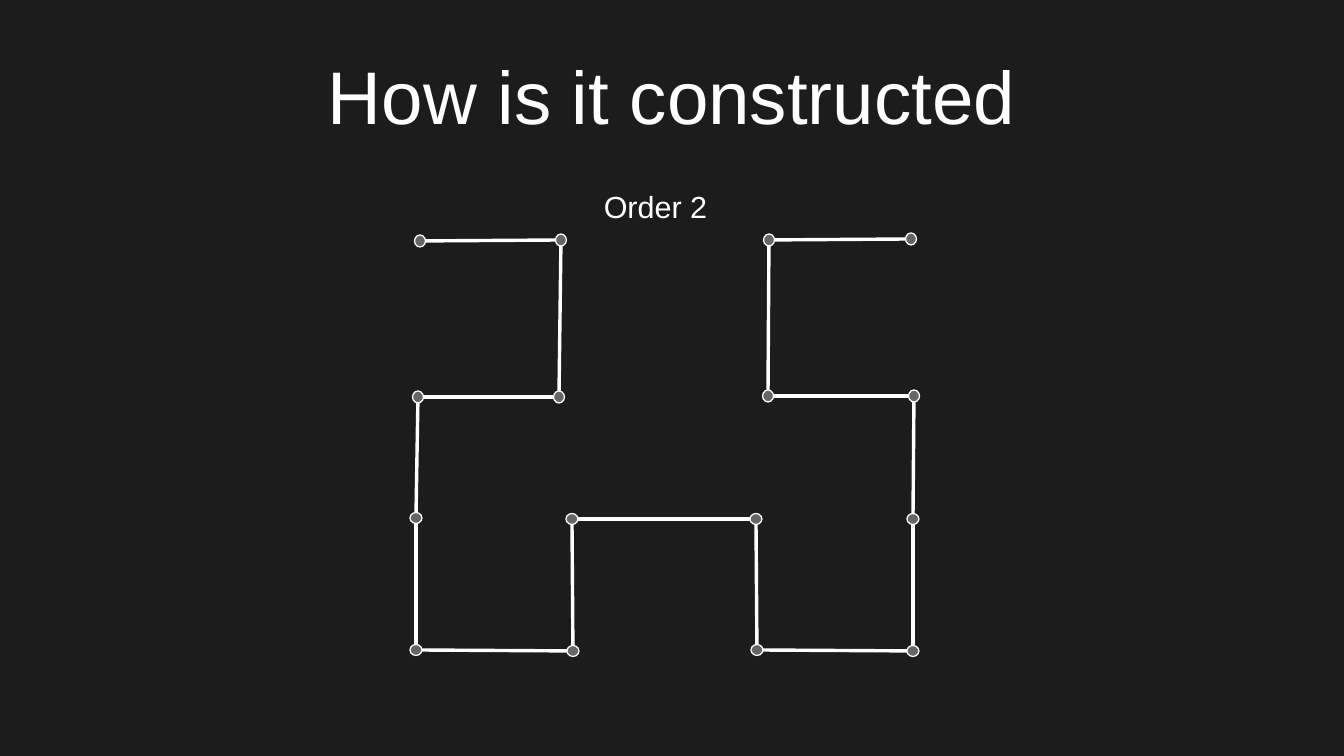
from itertools import pairwise
from math import hypot

from pptx import Presentation
from pptx.dml.color import RGBColor
from pptx.enum.shapes import MSO_CONNECTOR, MSO_SHAPE
from pptx.enum.text import MSO_ANCHOR, MSO_AUTO_SIZE, PP_ALIGN
from pptx.oxml.ns import qn
from pptx.util import Emu, Pt
from lxml.etree import SubElement

BACKGROUND = RGBColor(0x1C, 0x1C, 0x1C)
WHITE = RGBColor(0xFF, 0xFF, 0xFF)
GREY = RGBColor(0x66, 0x66, 0x66)

UPPER_LEFT = [(420, 241), (561, 240), (559, 397), (418, 397)]
LOWER = [(416, 518), (416, 650), (573, 651), (572, 519),
         (756, 519), (757, 650), (913, 651), (913, 519)]
UPPER_RIGHT = [(914, 396), (768, 396), (769, 240), (911, 239)]


def px(length):
    return Emu(round(length * 914400 / 122))


class CurveSlide:
    font = "Arial"
    node_width, node_height = 12, 11

    def __init__(self, deck):
        self.slide = deck.slides.add_slide(deck.slide_layouts[5])
        self.slide.background.fill.solid()
        self.slide.background.fill.fore_color.rgb = BACKGROUND

    def set_text(self, shape, text, size, margins):
        frame = shape.text_frame
        frame.word_wrap = True
        frame.auto_size = MSO_AUTO_SIZE.NONE
        frame.vertical_anchor = MSO_ANCHOR.MIDDLE
        frame.margin_left = frame.margin_right = px(margins[0])
        frame.margin_top = frame.margin_bottom = px(margins[1])
        paragraph = frame.paragraphs[0]
        paragraph.alignment = PP_ALIGN.CENTER
        run = paragraph.add_run()
        run.text = text
        run.font.name = self.font
        run.font.size = Pt(size)
        run.font.color.rgb = WHITE

    def title(self, text, left, top, width, height):
        heading = self.slide.shapes.title
        heading.left, heading.top = px(left), px(top)
        heading.width, heading.height = px(width), px(height)
        self.set_text(heading, text, 44, (0, 0))

    def label(self, text, left, top, width, height):
        box = self.slide.shapes.add_textbox(px(left), px(top), px(width), px(height))
        self.set_text(box, text, 18, (12, 6))

    def outline(self, shape):
        shape.line.color.rgb = WHITE
        shape.line.width = Pt(0)

    def edge(self, start, end):
        dx, dy = end[0] - start[0], end[1] - start[1]
        trim = self.node_height / 2 / hypot(dx, dy)
        line = self.slide.shapes.add_connector(
            MSO_CONNECTOR.STRAIGHT,
            px(start[0] + dx * trim), px(start[1] + dy * trim),
            px(end[0] - dx * trim), px(end[1] - dy * trim))
        self.outline(line)
        SubElement(line._element.spPr, qn("a:effectLst"))

    def node(self, centre, rotation=0):
        dot = self.slide.shapes.add_shape(
            MSO_SHAPE.OVAL,
            px(centre[0] - self.node_width / 2), px(centre[1] - self.node_height / 2),
            px(self.node_width), px(self.node_height))
        dot.rotation = rotation
        dot.shadow.inherit = False
        dot.fill.solid()
        dot.fill.fore_color.rgb = GREY
        self.outline(dot)


def main():
    deck = Presentation()
    deck.slide_width, deck.slide_height = px(1344), px(756)
    curve = CurveSlide(deck)
    curve.title("How is it constructed", 67, 31, 1210, 127)
    curve.label("Order 2", 579, 183, 153, 46)
    for start, end in pairwise(UPPER_LEFT + LOWER + UPPER_RIGHT):
        curve.edge(start, end)
    for nodes, rotation in ((UPPER_LEFT, 270), (LOWER, 0), (UPPER_RIGHT, 90)):
        for centre in nodes:
            curve.node(centre, rotation)
    deck.save("out.pptx")


if __name__ == "__main__":
    main()
